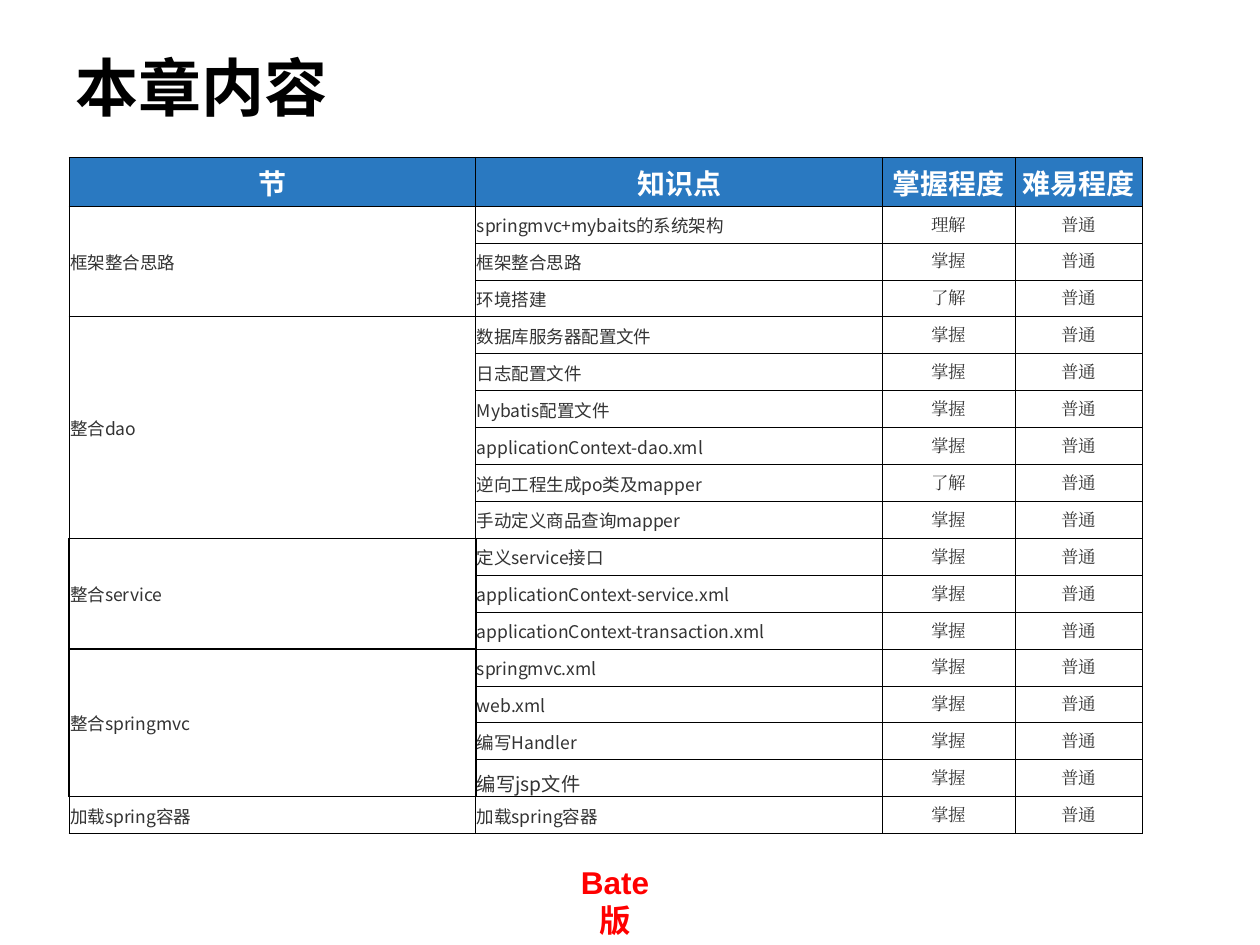
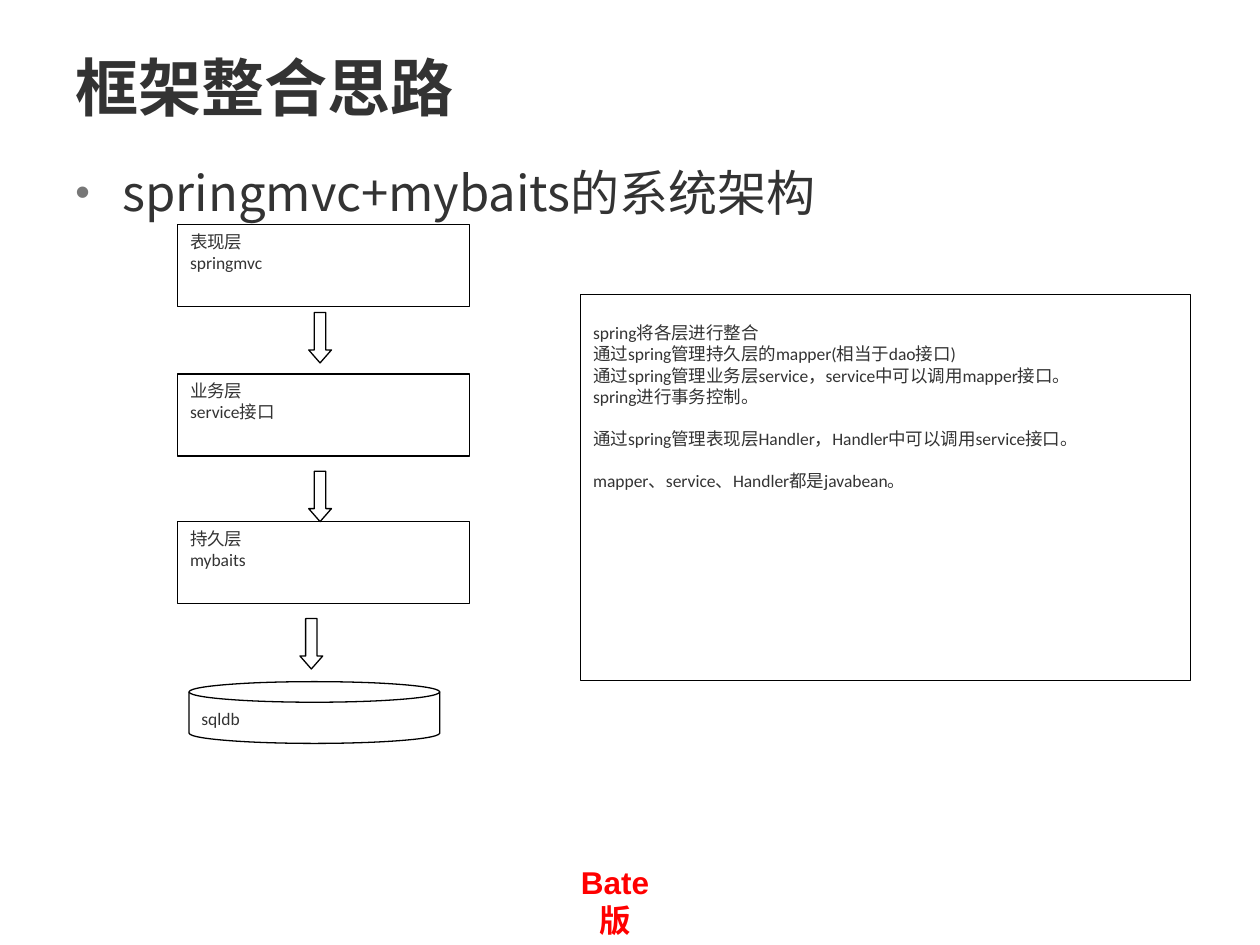
from lxml.etree import SubElement
from pptx import Presentation
from pptx.dml.color import RGBColor
from pptx.enum.shapes import MSO_SHAPE as SHAPE
from pptx.enum.text import MSO_ANCHOR as ANCHOR, PP_ALIGN as ALIGN
from pptx.oxml.ns import qn
from pptx.util import Pt

COLORS = {
    "black": "000000", "white": "FFFFFF", "text": "333333",
    "header": "2A79C1", "bullet": "777777", "red": "FF0000",
}
CJK = "Noto Sans CJK SC"
TITLE = {"name": CJK, "size": Pt(36), "bold": True}
BODY = {"name": CJK, "size": Pt(28), "bold": False}
FOOTER = {"name": "Arial", "size": Pt(18), "bold": True}
HEADER = {"name": CJK, "size": Pt(16), "bold": True}
TOPIC = {"name": CJK, "size": Pt(10), "bold": False}
LARGE_TOPIC = {**TOPIC, "size": Pt(11)}
LEVEL = {**TOPIC, "name": "Times New Roman"}
DIAGRAM = {**TOPIC, "name": "Calibri"}

HEADINGS = ["节", "知识点", "掌握程度", "难易程度"]
COLUMN_WIDTHS = [232.4, 232.4, 75.8, 72.8]
HEADER_HEIGHT, ROW_HEIGHT = 28, 21.1
DIFFICULTY = "普通"
SECTIONS = [
    ("框架整合思路", [("springmvc+mybaits的系统架构", "理解"),
                ("框架整合思路", "掌握"), ("环境搭建", "了解")]),
    ("整合dao", [("数据库服务器配置文件", "掌握"), ("日志配置文件", "掌握"),
               ("Mybatis配置文件", "掌握"), ("applicationContext-dao.xml", "掌握"),
               ("逆向工程生成po类及mapper", "了解"), ("手动定义商品查询mapper", "掌握")]),
    ("整合service", [("定义service接口", "掌握"),
                   ("applicationContext-service.xml", "掌握"),
                   ("applicationContext-transaction.xml", "掌握")]),
    ("整合springmvc", [("springmvc.xml", "掌握"), ("web.xml", "掌握"),
                     ("编写Handler", "掌握"), ("编写jsp文件", "掌握")]),
    ("加载spring容器", [("加载spring容器", "掌握")]),
]
HEAVY_SECTIONS = {"整合service", "整合springmvc"}

LAYERS = [
    (128.2, ["表现层", "springmvc"]),
    (213.8, ["业务层", "service接口"]),
    (298.1, ["持久层", "mybaits"]),
]
ARROWS = [(176.4, 178.6), (176.4, 269.3), (171.4, 353.5)]
NOTES = [
    ["spring将各层进行整合",
     "通过spring管理持久层的mapper(相当于dao接口)",
     "通过spring管理业务层service，service中可以调用mapper接口。",
     "spring进行事务控制。"],
    ["通过spring管理表现层Handler，Handler中可以调用service接口。"],
    ["mapper、service、Handler都是javabean。"],
]
LINE_HEIGHT = 12.2


def rgb(name):
    return RGBColor.from_string(COLORS[name])


def write(p, text, font, color="text", align=None):
    p.alignment = align
    r = p.add_run()
    r.text = text
    for key, value in font.items():
        setattr(r.font, key, value)
    r.font.color.rgb = rgb(color)
    SubElement(r._r.get_or_add_rPr(), qn("a:ea"), typeface=font["name"])
    return p


def paragraph(tf, index):
    return tf.add_paragraph() if index else tf.paragraphs[0]


def add_text(s, box, text, font, color="text", align=None, anchor=ANCHOR.TOP):
    tf = s.shapes.add_textbox(*map(Pt, box)).text_frame
    tf.word_wrap = True
    tf.vertical_anchor = anchor
    return write(tf.paragraphs[0], text, font, color, align)


def add_slide(prs, title, color):
    s = prs.slides.add_slide(prs.slide_layouts[6])
    add_text(s, (319, 489.6, 64.8, 28.8), "Bate版", FOOTER, "red", ALIGN.CENTER)
    add_text(s, (36, 21.6, 573.8, 55.4), title, TITLE, color, anchor=ANCHOR.MIDDLE)
    return s


def add_bullet(s, box, text):
    p = add_text(s, box, text, BODY)
    p.line_spacing = 1.2
    pPr = p._p.get_or_add_pPr()
    pPr.set("marL", str(Pt(27)))
    pPr.set("indent", str(-Pt(27)))
    SubElement(SubElement(pPr, qn("a:buClr")), qn("a:srgbClr"), val=COLORS["bullet"])
    SubElement(pPr, qn("a:buSzPct"), val="85000")
    SubElement(pPr, qn("a:buFont"), typeface="Arial")
    SubElement(pPr, qn("a:buChar"), char="•")


def add_box(s, kind, box, groups=()):
    sp = s.shapes.add_shape(kind, *map(Pt, box))
    sp.shadow.inherit = False
    sp.fill.solid()
    sp.fill.fore_color.rgb = rgb("white")
    sp.line.color.rgb = rgb("black")
    sp.line.width = Pt(0.75)
    tf = sp.text_frame
    tf.word_wrap = True
    tf.vertical_anchor = ANCHOR.TOP
    lines = [(text, g > 0 and i == 0)
             for g, group in enumerate(groups) for i, text in enumerate(group)]
    for i, (text, gap) in enumerate(lines):
        p = write(paragraph(tf, i), text, DIAGRAM, align=ALIGN.JUSTIFY)
        if gap:
            p.space_before = Pt(LINE_HEIGHT)
    return sp


def set_borders(cell, widths):
    tcPr = cell._tc.get_or_add_tcPr()
    for i, (side, width) in enumerate(widths.items()):
        ln = SubElement(tcPr, qn(f"a:ln{side}"), w=str(Pt(width)))
        SubElement(SubElement(ln, qn("a:solidFill")), qn("a:srgbClr"), val=COLORS["black"])
        tcPr.insert(i, ln)


def style_cell(cell, fill, col, heavy):
    for edge, margin in {"left": 0.7, "right": 0.7, "top": 0.7, "bottom": 0}.items():
        setattr(cell, f"margin_{edge}", Pt(margin))
    cell.vertical_anchor = ANCHOR.MIDDLE
    cell.fill.solid()
    cell.fill.fore_color.rgb = rgb(fill)
    thick = {0: "LRB", 1: "L"}.get(col, "") if heavy else ""
    set_borders(cell, {side: 1 if side in thick else 0.5 for side in "LRTB"})


def fill_cell(cell, text, font, color="text", align=None):
    write(cell.text_frame.paragraphs[0], text, font, color, align)


def add_contents_table(s):
    count = 1 + sum(len(topics) for _, topics in SECTIONS)
    height = HEADER_HEIGHT + ROW_HEIGHT * (count - 1)
    box = (39.5, 89.8, sum(COLUMN_WIDTHS), height)
    table = s.shapes.add_table(count, len(HEADINGS), *map(Pt, box)).table
    for column, width in zip(table.columns, COLUMN_WIDTHS):
        column.width = Pt(width)
    for i, row in enumerate(table.rows):
        row.height = Pt(ROW_HEIGHT if i else HEADER_HEIGHT)
    for col, heading in enumerate(HEADINGS):
        style_cell(table.cell(0, col), "header", col, False)
        fill_cell(table.cell(0, col), heading, HEADER, "white", ALIGN.CENTER)
    row = 1
    for section, topics in SECTIONS:
        first = row
        for topic, level in topics:
            for col in range(len(HEADINGS)):
                style_cell(table.cell(row, col), "white", col, section in HEAVY_SECTIONS)
            large = topic == "编写jsp文件"
            fill_cell(table.cell(row, 1), topic, LARGE_TOPIC if large else TOPIC)
            if large:
                table.cell(row, 1).vertical_anchor = ANCHOR.BOTTOM
            fill_cell(table.cell(row, 2), level, LEVEL, align=ALIGN.CENTER)
            fill_cell(table.cell(row, 3), DIFFICULTY, LEVEL, align=ALIGN.CENTER)
            row += 1
        fill_cell(table.cell(first, 0), section, TOPIC)
        if len(topics) > 1:
            table.cell(first, 0).merge(table.cell(row - 1, 0))


def add_architecture(s):
    for top, lines in LAYERS:
        add_box(s, SHAPE.RECTANGLE, (101.5, top, 167, 46.8), [lines])
    add_box(s, SHAPE.FLOWCHART_MAGNETIC_DISK, (108, 389.5, 143.3, 35.3), [["sqldb"]])
    for left, top in ARROWS:
        arrow = add_box(s, SHAPE.DOWN_ARROW, (left, top, 13, 28.8))
        arrow.adjustments[1] = 0.57
    notes = add_box(s, SHAPE.RECTANGLE, (331.9, 168.5, 348.5, 220.3), NOTES)
    notes.text_frame.margin_top = Pt(3.6 + LINE_HEIGHT)


def main():
    prs = Presentation()
    prs.slide_width, prs.slide_height = Pt(720), Pt(540)
    add_contents_table(add_slide(prs, "本章内容", "black"))
    s = add_slide(prs, "框架整合思路", "text")
    add_bullet(s, (36, 82.8, 641.5, 97.2), "springmvc+mybaits的系统架构")
    add_architecture(s)
    prs.save("out.pptx")


if __name__ == "__main__":
    main()
